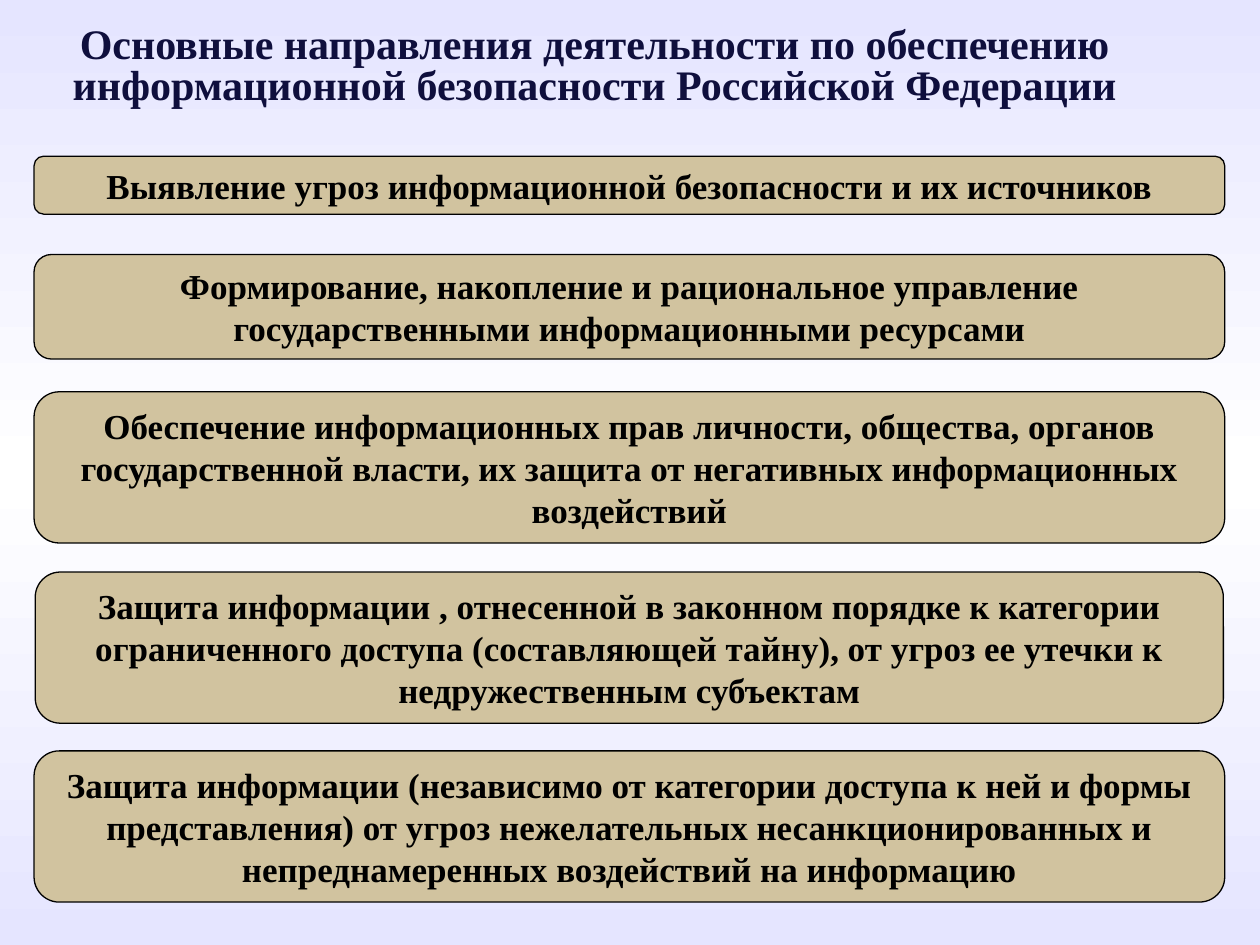
"""Build a slide listing the main directions of information security work."""
import copy
from dataclasses import dataclass

import pptx
import pptx.dml.color
import pptx.enum.shapes
import pptx.enum.text
import pptx.oxml.ns
import pptx.util

Inches = pptx.util.Inches


@dataclass(frozen=True)
class Theme:
    font: str = "Times New Roman"
    title_size: int = 24
    direction_size: int = 20
    title_color: str = "0F0F3D"
    direction_color: str = "000000"
    panel_fill: str = "D1C39F"
    panel_line: str = "000000"
    panel_line_width: float = 0.75
    background: tuple[str, ...] = ("E5E5FF", "FFFFFF", "E5E5FF")


@dataclass(frozen=True)
class Direction:
    text: str
    top: float
    lines: int
    left: float = 0.27
    width: float = 9.45

    @property
    def height(self) -> float:
        return 0.09 + 0.37 * self.lines


THEME = Theme()
TITLE = (
    "Основные направления деятельности по обеспечению "
    "информационной безопасности Российской Федерации"
)
DIRECTIONS = (
    Direction("Выявление угроз информационной безопасности и их источников", 1.24, 1),
    Direction(
        "Формирование, накопление и рациональное управление "
        "государственными информационными ресурсами",
        2.02, 2,
    ),
    Direction(
        "Обеспечение информационных прав личности, общества, органов "
        "государственной власти, их защита от негативных информационных воздействий",
        3.11, 3,
    ),
    Direction(
        "Защита информации , отнесенной в законном порядке к категории "
        "ограниченного доступа (составляющей тайну), от угроз ее утечки к "
        "недружественным субъектам",
        4.54, 3, left=0.28, width=9.43,
    ),
    Direction(
        "Защита информации (независимо от категории доступа к ней и формы "
        "представления) от угроз нежелательных несанкционированных и "
        "непреднамеренных воздействий на информацию",
        5.96, 3,
    ),
)


def rgb(value: str) -> pptx.dml.color.RGBColor:
    return pptx.dml.color.RGBColor.from_string(value)


def paint_background(slide) -> None:
    fill = slide.background.fill
    fill.gradient()
    fill.gradient_angle = 270
    stops = slide.element.find(".//" + pptx.oxml.ns.qn("a:gsLst"))
    stops.insert(1, copy.deepcopy(stops[0]))
    stops[1].set("pos", "50000")
    for stop, color in zip(fill.gradient_stops, THEME.background):
        stop.color.rgb = rgb(color)


def write_text(shape, text: str, size: int, color: str, margin: float,
               anchor: pptx.enum.text.MSO_ANCHOR, line_spacing: float = 1.0) -> None:
    frame = shape.text_frame
    frame.word_wrap = True
    frame.auto_size = pptx.enum.text.MSO_AUTO_SIZE.SHAPE_TO_FIT_TEXT
    frame.vertical_anchor = anchor
    frame.margin_left = frame.margin_right = Inches(0.1)
    frame.margin_top = frame.margin_bottom = Inches(margin)
    paragraph = frame.paragraphs[0]
    paragraph.alignment = pptx.enum.text.PP_ALIGN.CENTER
    paragraph.line_spacing = line_spacing
    run = paragraph.add_run()
    run.text = text
    run.font.name = THEME.font
    run.font.size = pptx.util.Pt(size)
    run.font.bold = True
    run.font.color.rgb = rgb(color)


def draw_title(slide) -> None:
    title = slide.shapes.add_textbox(Inches(0.43), Inches(0.17), Inches(8.58), Inches(0.74))
    write_text(title, TITLE, THEME.title_size, THEME.title_color, 0.05,
               pptx.enum.text.MSO_ANCHOR.TOP, line_spacing=0.8)


def draw_direction(slide, direction: Direction) -> None:
    panel = slide.shapes.add_shape(
        pptx.enum.shapes.MSO_SHAPE.ROUNDED_RECTANGLE,
        Inches(direction.left), Inches(direction.top),
        Inches(direction.width), Inches(direction.height),
    )
    panel.shadow.inherit = False
    panel.fill.solid()
    panel.fill.fore_color.rgb = rgb(THEME.panel_fill)
    panel.line.color.rgb = rgb(THEME.panel_line)
    panel.line.width = pptx.util.Pt(THEME.panel_line_width)
    write_text(panel, direction.text, THEME.direction_size, THEME.direction_color, 0.04,
               pptx.enum.text.MSO_ANCHOR.MIDDLE)


def main() -> None:
    presentation = pptx.Presentation()
    presentation.slide_width = Inches(10)
    presentation.slide_height = Inches(7.5)
    slide = presentation.slides.add_slide(presentation.slide_layouts[6])
    paint_background(slide)
    draw_title(slide)
    for direction in DIRECTIONS:
        draw_direction(slide, direction)
    presentation.save("out.pptx")


if __name__ == "__main__":
    main()
